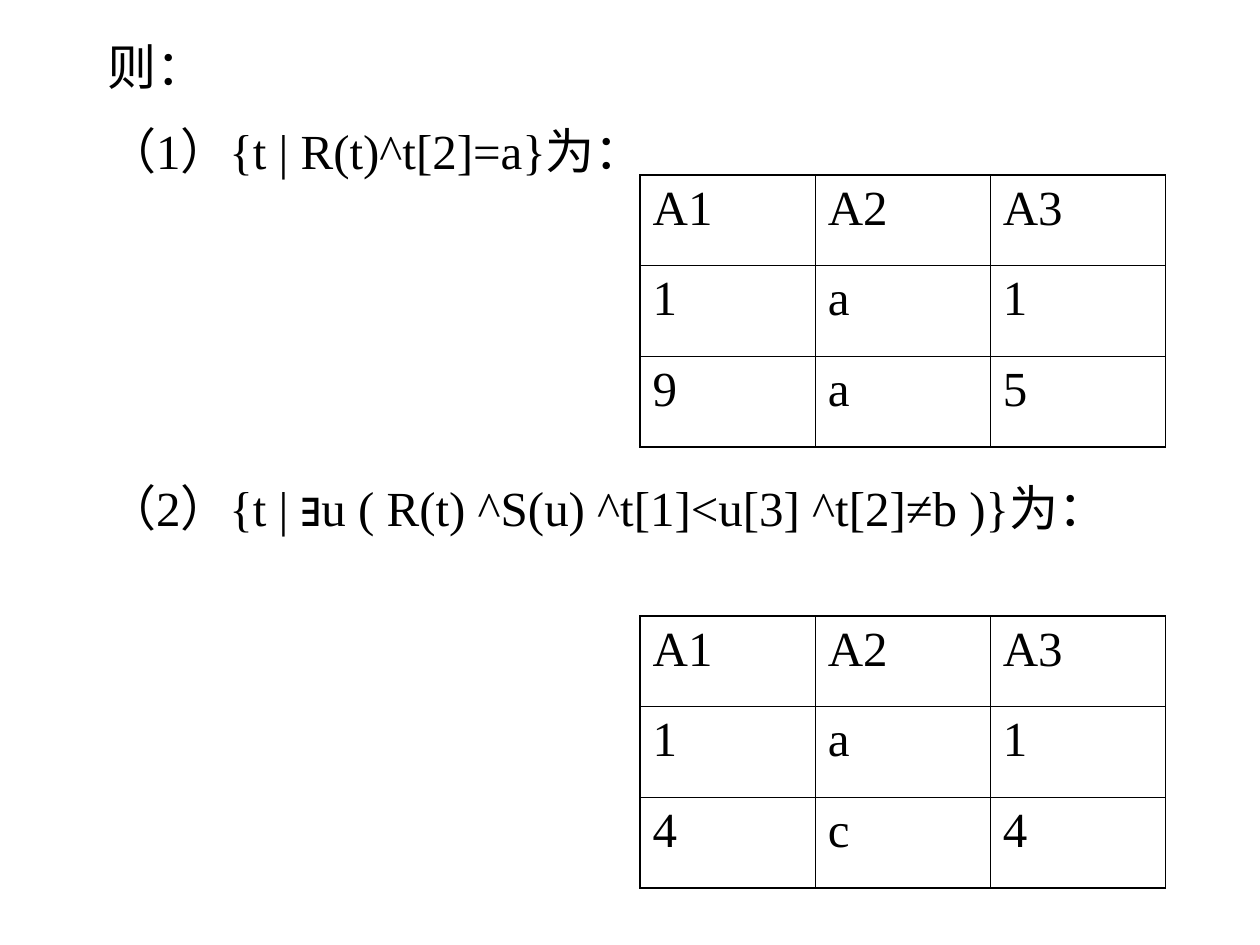
from dataclasses import dataclass

from lxml.etree import SubElement
from pptx import Presentation
from pptx.dml.color import RGBColor
from pptx.enum.text import MSO_ANCHOR as Anchor, MSO_AUTO_SIZE as AutoSize, PP_ALIGN as Align
from pptx.oxml.ns import qn
from pptx.util import Inches, Pt


@dataclass(frozen=True)
class Theme:
    ink: str = "000000"
    paper: str = "FFFFFF"
    font: str = "Times New Roman"
    symbol_font: str = "Arial"
    size: float = 28
    space_before: float = 7
    outer_border: float = 1.08
    inner_border: float = 0.45


@dataclass(frozen=True)
class ResultTable:
    top: float
    rows: tuple[str, ...]


@dataclass(frozen=True)
class Formula:
    segments: tuple[str, ...]
    space_before: float


THEME = Theme()
EXISTS = "∃"
TABLE_LEFT, COLUMN_WIDTH, ROW_HEIGHT = 5.08, 1.39, 0.72

# The second formula starts below the first result table
FORMULAS = (
    Formula(("（1）{t | R(t)^t[2]=a}为：",), THEME.space_before),
    Formula(("（2）{t | ", EXISTS, "u ( R(t) ^S(u) ^t[1]<u[3] ^t[2]≠b )}为："), 170),
)
TABLES = (
    ResultTable(1.39, ("A1 A2 A3", "1 a 1", "9 a 5")),
    ResultTable(4.89, ("A1 A2 A3", "1 a 1", "4 c 4")),
)


def add_run(paragraph, text: str) -> None:
    run = paragraph.add_run()
    run.text = text
    font = run.font
    font.size = Pt(THEME.size)
    font.bold = text == EXISTS
    font.name = THEME.symbol_font if text == EXISTS else THEME.font
    font.color.rgb = RGBColor.from_string(THEME.ink)


def place(shape, left: float, top: float, width: float, height: float, anchor: Anchor):
    shape.left, shape.top = Inches(left), Inches(top)
    shape.width, shape.height = Inches(width), Inches(height)
    frame = shape.text_frame
    frame.auto_size = AutoSize.NONE
    frame.word_wrap = True
    frame.vertical_anchor = anchor
    return frame


def add_formula(paragraph, formula: Formula) -> None:
    paragraph.alignment = Align.LEFT
    paragraph.space_before = Pt(formula.space_before)
    properties = paragraph._p.get_or_add_pPr()
    properties.set("marL", str(Inches(0.58)))
    properties.set("indent", str(Inches(-0.58)))
    SubElement(properties, qn("a:buNone"))
    for segment in formula.segments:
        add_run(paragraph, segment)


def add_border(cell, side: str, width: float) -> None:
    line = SubElement(cell._tc.get_or_add_tcPr(), qn(f"a:ln{side}"), w=str(Pt(width)))
    fill = SubElement(line, qn("a:solidFill"))
    SubElement(fill, qn("a:srgbClr"), val=THEME.ink)


def add_result_table(slide, result: ResultTable) -> None:
    rows = [row.split() for row in result.rows]
    row_count, column_count = len(rows), len(rows[0])
    table = slide.shapes.add_table(
        row_count, column_count, Inches(TABLE_LEFT), Inches(result.top),
        Inches(COLUMN_WIDTH * column_count), Inches(ROW_HEIGHT * row_count)).table
    table.first_row = table.horz_banding = False
    for column in table.columns:
        column.width = Inches(COLUMN_WIDTH)
    for row_index, values in enumerate(rows):
        table.rows[row_index].height = Inches(ROW_HEIGHT)
        for column_index, value in enumerate(values):
            cell = table.cell(row_index, column_index)
            # Heavy outer frame, fine inner grid
            on_edge = {
                "L": column_index == 0,
                "R": column_index == column_count - 1,
                "T": row_index == 0,
                "B": row_index == row_count - 1,
            }
            for side, outer in on_edge.items():
                add_border(cell, side, THEME.outer_border if outer else THEME.inner_border)
            cell.fill.background()
            paragraph = cell.text_frame.paragraphs[0]
            paragraph.space_before = Pt(THEME.space_before)
            add_run(paragraph, value)


def main() -> None:
    presentation = Presentation()
    presentation.slide_width, presentation.slide_height = Inches(10), Inches(7.5)
    slide = presentation.slides.add_slide(presentation.slide_layouts[1])
    background = slide.background.fill
    background.solid()
    background.fore_color.rgb = RGBColor.from_string(THEME.paper)

    # Title
    title = place(slide.shapes.title, 0.75, 0.36, 8.5, 0.33, Anchor.MIDDLE).paragraphs[0]
    title.alignment = Align.LEFT
    add_run(title, "则：")

    # Formulas
    body = place(slide.placeholders[1], 0.75, 0.91, 8.5, 6.3, Anchor.TOP)
    for index, formula in enumerate(FORMULAS):
        add_formula(body.add_paragraph() if index else body.paragraphs[0], formula)

    # Result tables
    for result in TABLES:
        add_result_table(slide, result)

    presentation.save("out.pptx")


if __name__ == "__main__":
    main()
